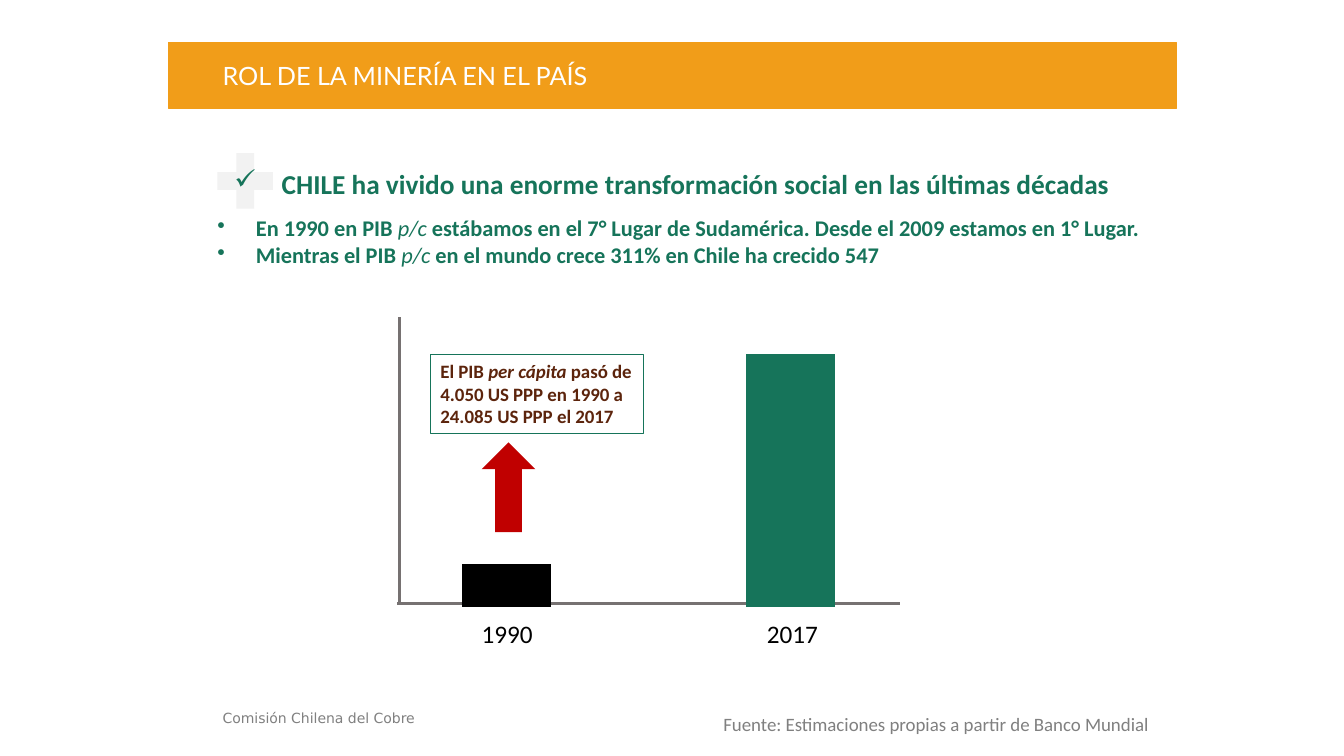
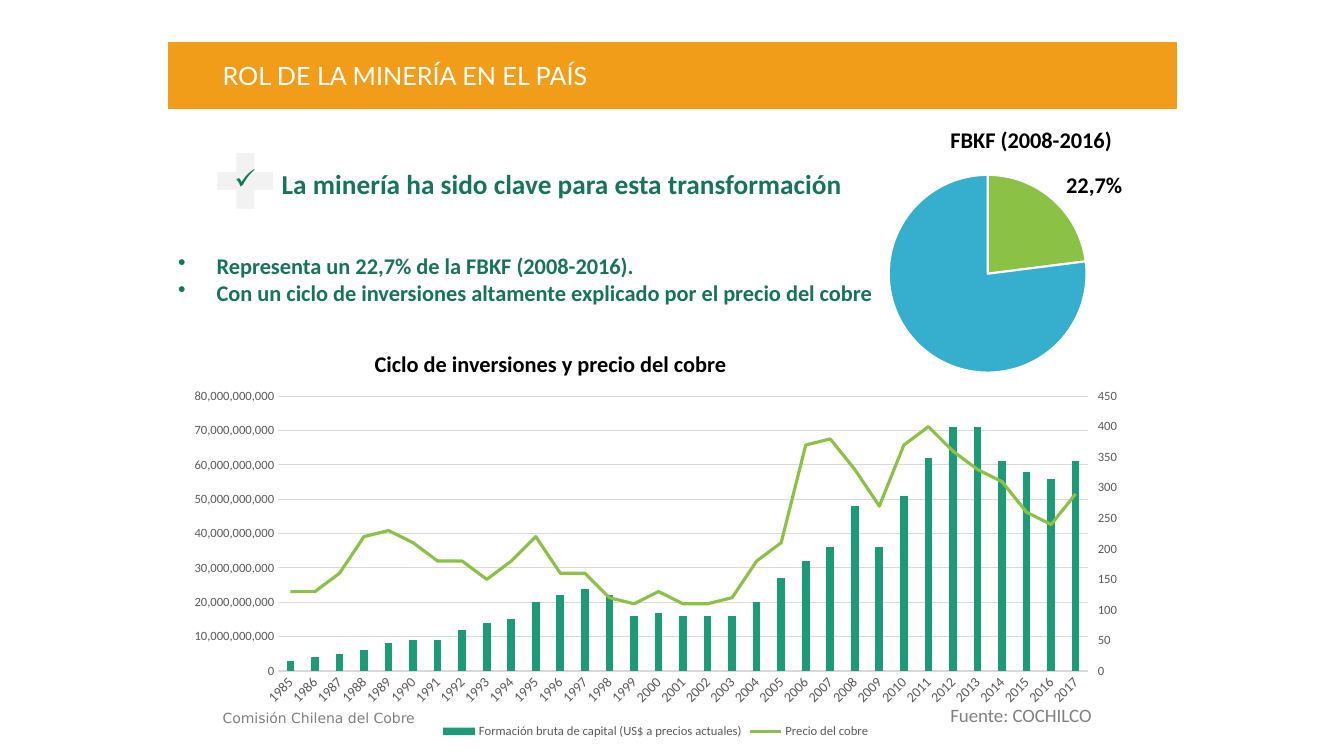
import copy

import pptx
import pptx.chart.axis
import pptx.chart.data
import pptx.dml.color
import pptx.enum.chart
import pptx.enum.shapes
import pptx.enum.text
import pptx.oxml
import pptx.oxml.ns
import pptx.util

Cm = pptx.util.Cm
Pt = pptx.util.Pt
RGBColor = pptx.dml.color.RGBColor
ShapeType = pptx.enum.shapes.MSO_SHAPE
ChartType = pptx.enum.chart.XL_CHART_TYPE
TickMark = pptx.enum.chart.XL_TICK_MARK
Anchor = pptx.enum.text.MSO_ANCHOR
qn = pptx.oxml.ns.qn

ORANGE = RGBColor(0xF1, 0x9D, 0x19)
GREEN = RGBColor(0x16, 0x74, 0x5A)
TEAL = RGBColor(0x1D, 0x9A, 0x78)
LIME = RGBColor(0x8B, 0xC1, 0x45)
BLUE = RGBColor(0x36, 0xAF, 0xCE)
RED = RGBColor(0xC0, 0x00, 0x00)
BROWN = RGBColor(0x5C, 0x24, 0x0C)
BLACK = RGBColor(0x00, 0x00, 0x00)
WHITE = RGBColor(0xFF, 0xFF, 0xFF)
GRAY = RGBColor(0x80, 0x80, 0x80)
AXIS_GRAY = RGBColor(0x76, 0x71, 0x71)
LABEL_GRAY = RGBColor(0x59, 0x59, 0x59)
GRID_GRAY = RGBColor(0xD9, 0xD9, 0xD9)
PALE_GRAY = RGBColor(0xF2, 0xF2, 0xF2)

YEARS = [str(year) for year in range(1985, 2018)]
INVESTMENT_BILLIONS = [
    3, 4, 5, 6, 8, 9, 9, 12, 14, 15, 20, 22, 24, 22, 16, 17, 16,
    16, 16, 20, 27, 32, 36, 48, 36, 51, 62, 71, 71, 61, 58, 56, 61,
]
COPPER_PRICES = [
    130, 130, 160, 220, 230, 210, 180, 180, 150, 180, 220, 160, 160, 120, 110, 130, 110,
    110, 120, 180, 210, 370, 380, 330, 270, 370, 400, 360, 330, 310, 260, 240, 290,
]


def write_text(frame, text, font="Calibri", size=16, color=GREEN, bold=False,
               italic_bold=False, bullet=None, indent=0.97):
    for index, line in enumerate(text.split("\n")):
        paragraph = frame.paragraphs[0] if index == 0 else frame.add_paragraph()
        paragraph.alignment = pptx.enum.text.PP_ALIGN.LEFT
        if bullet:
            properties = paragraph._p.get_or_add_pPr()
            properties.set("marL", str(Cm(indent)))
            properties.set("indent", str(-Cm(indent)))
            properties.append(pptx.oxml.parse_xml(
                f'<a:buChar {pptx.oxml.ns.nsdecls("a")} char="{bullet}"/>'))
        for position, part in enumerate(line.split("_")):
            italic = position % 2 == 1
            run = paragraph.add_run()
            run.text = part
            run.font.name = font
            run.font.size = Pt(size)
            run.font.color.rgb = color
            run.font.bold = italic_bold if italic else bold
            run.font.italic = italic


class Deck:
    """Hold the shared style and the slide being built."""

    def __init__(self):
        self.presentation = pptx.Presentation()
        self.presentation.slide_width = Cm(33.87)
        self.presentation.slide_height = Cm(19.05)
        self.slide = None

    def add_slide(self, heading):
        self.slide = self.presentation.slides.add_slide(self.presentation.slide_layouts[6])
        self.add_text("Comisión Chilena del Cobre", (5.36, 17.75, 5.56, 0.69), wrap=False,
                      font="DejaVu Sans", size=10, color=GRAY)
        self.add_shape(ShapeType.RECTANGLE, (4.24, 1.07, 25.4, 1.65), ORANGE, ORANGE, 0.5)
        self.add_text("ROL DE LA MINERÍA EN EL PAÍS", (5.36, 1.37, 23.95, 1.04),
                      anchor=Anchor.MIDDLE, font="Lato", size=18, color=WHITE)
        self.add_shape(ShapeType.MATH_PLUS, (5.23, 3.61, 1.9, 1.9), PALE_GRAY)
        self.add_text(heading, (5.66, 4.1, 23.42, 1.1), size=19.5, bold=True,
                      bullet="✓", indent=1.19)

    def add_text(self, text, bounds, wrap=True, anchor=Anchor.TOP, **text_format):
        frame = self.slide.shapes.add_textbox(*map(Cm, bounds)).text_frame
        frame.word_wrap = wrap
        frame.vertical_anchor = anchor
        write_text(frame, text, **text_format)

    def add_bullets(self, text, bounds):
        self.add_text(text, bounds, bold=True, bullet="•")

    def add_source(self, text, bounds):
        self.add_text(text, bounds, size=13.5, color=GRAY)

    def add_label(self, text, bounds, size=16, bold=True):
        self.add_text(text, bounds, wrap=False, size=size, color=BLACK, bold=bold)

    def add_shape(self, shape_type, bounds, fill=None, line=None, line_width=0.75):
        shape = self.slide.shapes.add_shape(shape_type, *map(Cm, bounds))
        shape.shadow.inherit = False
        if fill is None:
            shape.fill.background()
        else:
            shape.fill.solid()
            shape.fill.fore_color.rgb = fill
        if line is None:
            shape.line.fill.background()
        else:
            shape.line.color.rgb = line
            shape.line.width = Pt(line_width)
        return shape

    def add_callout(self, text, bounds):
        frame = self.add_shape(ShapeType.RECTANGLE, bounds, line=GREEN).text_frame
        frame.word_wrap = True
        frame.vertical_anchor = Anchor.TOP
        write_text(frame, text, size=13.5, color=BROWN, bold=True, italic_bold=True)

    def add_line(self, *ends):
        connector = self.slide.shapes.add_connector(
            pptx.enum.shapes.MSO_CONNECTOR.STRAIGHT, *map(Cm, ends))
        connector.line.color.rgb = AXIS_GRAY
        connector.line.width = Pt(2.25)
        connector._element.spPr.append(pptx.oxml.parse_xml(
            f'<a:effectLst {pptx.oxml.ns.nsdecls("a")}/>'))

    def add_chart(self, chart_type, bounds, plot_area, categories, series, point_colors=()):
        data = pptx.chart.data.CategoryChartData()
        data.categories = categories
        for name, values in series:
            data.add_series(name, values)
        chart = self.slide.shapes.add_chart(chart_type, *map(Cm, bounds), data).chart
        chart.has_title = False
        chart.has_legend = False
        chart.font.name = "Calibri"
        chart.font.size = Pt(10)
        chart.font.color.rgb = BLACK
        chart.plots[0].vary_by_categories = False
        for index, color in enumerate(point_colors):
            point = chart.plots[0].series[0].points[index]
            point.format.fill.solid()
            point.format.fill.fore_color.rgb = color
            if chart_type == ChartType.PIE:
                point.format.line.color.rgb = WHITE
                point.format.line.width = Pt(1.5)
        self.place_plot(chart, plot_area)
        return chart

    def place_plot(self, chart, plot_area):
        area = chart.element.xpath("//c:plotArea")[0]
        for layout in area.findall(qn("c:layout")):
            area.remove(layout)
        places = "".join(f'<c:{key} val="{value}"/>' for key, value in zip("xywh", plot_area))
        area.insert(0, pptx.oxml.parse_xml(
            f'<c:layout {pptx.oxml.ns.nsdecls("c")}><c:manualLayout>'
            '<c:layoutTarget val="inner"/><c:xMode val="edge"/><c:yMode val="edge"/>'
            f'{places}</c:manualLayout></c:layout>'))

    def add_column_chart(self, bounds, plot_area, categories, series, maximum, point_colors=()):
        chart = self.add_chart(ChartType.COLUMN_CLUSTERED, bounds, plot_area,
                               categories, series, point_colors)
        chart.plots[0].gap_width = 219
        chart.plots[0].overlap = -27
        chart.value_axis.minimum_scale = 0
        chart.value_axis.maximum_scale = maximum
        return chart

    def add_bar_comparison(self, bounds, plot_area, values, colors):
        chart = self.add_column_chart(bounds, plot_area, ["1", "2"],
                                      [("Series 1", values)], 120, colors)
        chart.value_axis.has_major_gridlines = False
        chart.value_axis.visible = False
        chart.category_axis.visible = False

    def add_combined_chart(self, bounds, plot_area, categories, series):
        chart = self.add_column_chart(bounds, plot_area, categories, series, 80_000_000_000)
        category_axis, value_axis = chart.category_axis, chart.value_axis
        for axis, size in ((category_axis, 10), (value_axis, 9)):
            axis.major_tick_mark = TickMark.NONE
            axis.minor_tick_mark = TickMark.NONE
            self.style_font(axis.tick_labels.font, size)
        category_axis.format.line.color.rgb = GRID_GRAY
        category_axis.format.line.width = Pt(0.75)
        category_axis._element.find(f'{qn("c:txPr")}/{qn("a:bodyPr")}').set("rot", "-2700000")
        value_axis.major_unit = 10_000_000_000
        value_axis.tick_labels.number_format = "#,##0"
        value_axis.tick_labels.number_format_is_linked = False
        value_axis.format.line.fill.background()
        value_axis.major_gridlines.format.line.color.rgb = GRID_GRAY
        value_axis.major_gridlines.format.line.width = Pt(0.75)
        self.move_to_right_axis(chart)

        columns = chart.plots[0].series[0]
        columns.format.fill.solid()
        columns.format.fill.fore_color.rgb = TEAL
        line = chart.plots[1].series[0]
        line.smooth = False
        line.marker.style = pptx.enum.chart.XL_MARKER_STYLE.NONE
        line.format.line.color.rgb = LIME
        line.format.line.width = Pt(2.25)

        chart.has_legend = True
        chart.legend.position = pptx.enum.chart.XL_LEGEND_POSITION.BOTTOM
        chart.legend.include_in_layout = False
        self.style_font(chart.legend.font, 9)

    def style_font(self, font, size):
        font.name = "Calibri"
        font.size = Pt(size)
        font.color.rgb = LABEL_GRAY

    def move_to_right_axis(self, chart):
        bar_plot = chart.element.xpath("//c:barChart")[0]
        line_plot = pptx.oxml.parse_xml(
            f'<c:lineChart {pptx.oxml.ns.nsdecls("c")}><c:grouping val="standard"/>'
            '<c:varyColors val="0"/><c:marker val="1"/>'
            '<c:axId val="5001"/><c:axId val="5002"/></c:lineChart>')
        line_series = bar_plot.findall(qn("c:ser"))[1]
        for invert in line_series.findall(qn("c:invertIfNegative")):
            line_series.remove(invert)
        line_plot.insert(2, line_series)
        bar_plot.addnext(line_plot)

        value_element = chart.value_axis._element
        right_element = copy.deepcopy(value_element)
        hidden_element = copy.deepcopy(chart.category_axis._element)
        value_element.addnext(right_element)
        right_element.addnext(hidden_element)
        for element, own, crossed in ((hidden_element, "5001", "5002"),
                                      (right_element, "5002", "5001")):
            element.find(qn("c:axId")).set("val", own)
            element.find(qn("c:crossAx")).set("val", crossed)
        right_element.find(qn("c:axPos")).set("val", "r")
        right_element.find(qn("c:crosses")).set("val", "max")
        pptx.chart.axis.CategoryAxis(hidden_element).visible = False
        right_axis = pptx.chart.axis.ValueAxis(right_element)
        right_axis.has_major_gridlines = False
        right_axis.maximum_scale = 450
        right_axis.major_unit = 50
        right_axis.major_tick_mark = TickMark.OUTSIDE
        right_axis.tick_labels.number_format = "General"


def build_transformation_slide(deck):
    deck.add_slide("CHILE ha vivido una enorme transformación social en las últimas décadas")
    deck.add_callout("El PIB _per cápita _pasó de 4.050 US PPP en 1990 a 24.085 US PPP el 2017",
                     (10.85, 8.94, 5.36, 1.98))
    deck.add_shape(ShapeType.UP_ARROW, (12.14, 11.15, 1.35, 2.26), RED)
    deck.add_line(10.01, 15.21, 22.68, 15.21)
    deck.add_line(10.06, 15.24, 10.06, 7.98)
    for index, year in enumerate(("1990", "2017")):
        deck.add_label(year, (11.89 + 7.19 * index, 15.45, 1.8, 1.02), size=18, bold=False)
    deck.add_source("Fuente: Estimaciones propias a partir de Banco Mundial",
                    (17.98, 17.83, 11.33, 0.84))
    deck.add_bar_comparison((8.89, 7.19, 14.91, 8.28), (0.02, 0.055, 0.96, 0.923),
                            (17, 100), (BLACK, GREEN))
    deck.add_bullets(
        "En 1990 en PIB _p/c_ estábamos en el 7° Lugar de Sudamérica. "
        "Desde el 2009 estamos en 1° Lugar.\n"
        "Mientras el PIB _p/c_ en el mundo crece 311% en Chile ha crecido 547",
        (5.23, 5.28, 25.32, 1.6))


def build_investment_slide(deck):
    deck.add_slide("La minería ha sido clave para esta transformación")
    deck.add_source("Fuente: COCHILCO", (23.7, 17.6, 4.32, 0.84))
    deck.add_bullets(
        "Representa un 22,7% de la FBKF (2008-2016).\n"
        "Con un ciclo de inversiones altamente explicado por el precio del cobre",
        (4.24, 6.22, 20.65, 1.6))
    deck.add_label("FBKF (2008-2016)", (23.7, 3.05, 4.8, 0.94))
    deck.add_chart(ChartType.PIE, (20.14, 4.06, 9.53, 5.72), (0.237, 0.06, 0.523, 0.873),
                   ["1", "2"], [("Series 1", (23, 77))], (LIME, BLUE))
    deck.add_label("22,7%", (26.62, 4.19, 1.93, 0.94))
    deck.add_label("Ciclo de inversiones y precio del cobre", (9.19, 8.69, 9.5, 0.94))
    deck.add_combined_chart(
        (4.42, 9.63, 24.21, 9.09), (0.107, 0.039, 0.843, 0.762), YEARS,
        [("Formación bruta de capital (US$ a precios actuales)",
          [value * 1_000_000_000 for value in INVESTMENT_BILLIONS]),
         ("Precio del cobre", COPPER_PRICES)])


def main():
    deck = Deck()
    build_transformation_slide(deck)
    build_investment_slide(deck)
    deck.presentation.save("out.pptx")


if __name__ == "__main__":
    main()
